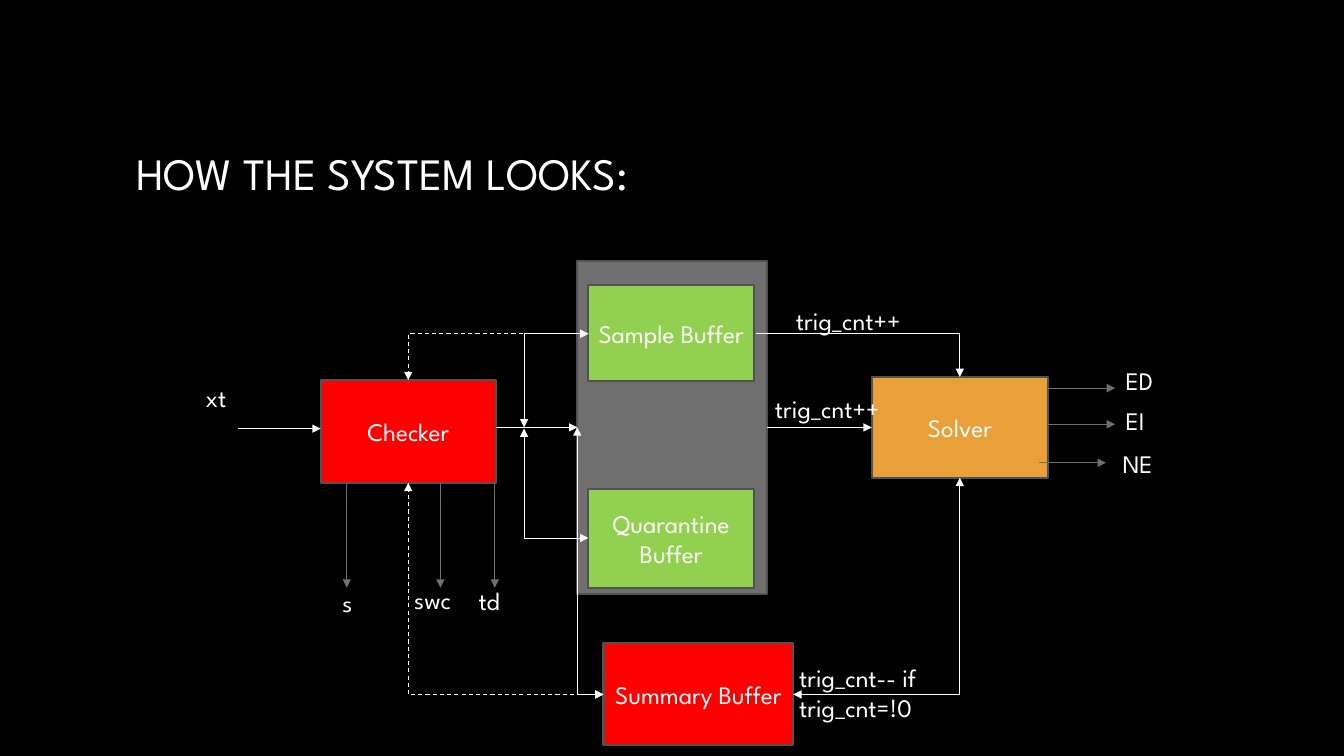
"""Build the slide that shows how the checker, buffers and solver connect."""
from dataclasses import dataclass

from lxml import etree
from pptx import Presentation
from pptx.dml.color import RGBColor
from pptx.enum.dml import MSO_LINE
from pptx.enum.shapes import MSO_CONNECTOR, MSO_SHAPE
from pptx.enum.text import MSO_ANCHOR, MSO_AUTO_SIZE, PP_ALIGN
from pptx.oxml.ns import qn
from pptx.shapes.autoshape import Shape
from pptx.shapes.connector import Connector
from pptx.slide import Slide
from pptx.util import Cm, Pt

RECTANGLE = MSO_SHAPE.RECTANGLE
STRAIGHT, ELBOW = MSO_CONNECTOR.STRAIGHT, MSO_CONNECTOR.ELBOW
DASH = MSO_LINE.DASH
MIDDLE, TOP = MSO_ANCHOR.MIDDLE, MSO_ANCHOR.TOP
CENTER, LEFT = PP_ALIGN.CENTER, PP_ALIGN.LEFT
GROW, FIXED = MSO_AUTO_SIZE.SHAPE_TO_FIT_TEXT, MSO_AUTO_SIZE.NONE
LEFT_SIDE, RIGHT_SIDE = 1, 3

FONT = "League Spartan"
COLORS = {
    "background": "000000",
    "text": "FFFFFF",
    "flow": "FFFFFF",
    "output": "6F6F6F",
    "border": "525252",
    "red": "FF0000",
    "gray": "6F6F6F",
    "green": "92D050",
    "orange": "E9A039",
}


@dataclass
class Block:
    text: str
    left: float
    top: float
    width: float
    height: float
    color: str


@dataclass
class Label:
    text: str
    left: float
    top: float
    width: float
    height: float = 1.02
    size: int = 18
    anchor: MSO_ANCHOR = TOP
    sizing: MSO_AUTO_SIZE = GROW


@dataclass
class Arrow:
    x1: float
    y1: float
    x2: float
    y2: float
    color: str = "flow"
    bent: bool = False
    double: bool = False
    dashed: bool = False


BUFFERS = Block("", 14.55, 6.58, 4.78, 8.38, "gray")
SOLVER = Block("Solver", 21.97, 9.5, 4.45, 2.54, "orange")
CHECKER = Block("Checker", 8.08, 9.58, 4.42, 2.59, "red")
BLOCKS = [
    CHECKER,
    BUFFERS,
    Block("Sample Buffer", 14.83, 7.19, 4.17, 2.41, "green"),
    Block("Quarantine Buffer", 14.83, 12.32, 4.17, 2.49, "green"),
    Block("Summary Buffer", 15.21, 16.21, 4.78, 2.57, "red"),
    SOLVER,
]
FLOW_Y = 10.77
CHECKER_TO_BUFFERS = Arrow(12.5, FLOW_Y, 14.55, FLOW_Y)
BUFFERS_TO_SOLVER = Arrow(19.33, FLOW_Y, 21.97, FLOW_Y)
BENT_FLOWS = [
    Arrow(15.21, 17.5, 14.55, FLOW_Y, bent=True, double=True),
    Arrow(19.99, 17.5, 24.19, 12.04, bent=True, double=True),
    Arrow(19.05, 8.41, 24.19, 9.5, bent=True),
    Arrow(15.21, 17.5, 10.29, 12.17, bent=True, double=True, dashed=True),
    Arrow(14.83, 8.41, 10.29, 9.58, bent=True, double=True, dashed=True),
    Arrow(14.83, 8.41, 13.21, FLOW_Y, bent=True, double=True),
    Arrow(14.83, 13.56, 13.21, 10.8, bent=True, double=True),
]
INPUT = Arrow(5.99, 10.8, 8.08, 10.8)
CHECKER_OUTPUTS = [Arrow(x, 12.17, x, 14.81, "output") for x in (8.74, 11.1, 12.47)]
SOLVER_OUTPUTS = [
    Arrow(x, y, x + 1.68, y, "output")
    for x, y in ((26.42, 9.78), (26.42, 10.69), (26.19, 11.66))
]
LABELS = [
    Label("HOW THE SYSTEM LOOKS:", 3.18, 1.7, 27.51, 5.28, 32, MIDDLE, FIXED),
    Label("trig_cnt++", 19.81, 7.57, 3.61),
    Label("trig_cnt++", 19.28, 9.78, 3.61),
    Label("trig_cnt-- if trig_cnt=!0", 19.89, 16.56, 5.38, 1.8),
    Label("xt", 4.93, 9.5, 2.03),
    Label("s", 8.38, 14.68, 0.53),
    Label("swc", 10.19, 14.6, 1.73),
    Label("td", 11.81, 14.63, 1.4),
    Label("ED", 28.12, 9.09, 1.55),
    Label("EI", 28.12, 10.08, 1.55),
    Label("NE", 28.04, 11.18, 1.55),
]


def rgb(name: str) -> RGBColor:
    return RGBColor.from_string(COLORS[name])


def write(shape: Shape, text: str, size: int, align: PP_ALIGN, anchor: MSO_ANCHOR) -> None:
    frame = shape.text_frame
    frame.word_wrap = True
    frame.vertical_anchor = anchor
    frame.text = text
    paragraph = frame.paragraphs[0]
    paragraph.alignment = align
    for run in paragraph.runs:
        run.font.name = FONT
        run.font.size = Pt(size)
        run.font.color.rgb = rgb("text")


def draw_block(slide: Slide, block: Block) -> Shape:
    shape = slide.shapes.add_shape(
        RECTANGLE, Cm(block.left), Cm(block.top), Cm(block.width), Cm(block.height)
    )
    shape.shadow.inherit = False
    shape.fill.solid()
    shape.fill.fore_color.rgb = rgb(block.color)
    shape.line.color.rgb = rgb("border")
    shape.line.width = Pt(1.5)
    write(shape, block.text, 18, CENTER, MIDDLE)
    return shape


def draw_label(slide: Slide, label: Label) -> None:
    box = slide.shapes.add_textbox(
        Cm(label.left), Cm(label.top), Cm(label.width), Cm(label.height)
    )
    write(box, label.text, label.size, LEFT, label.anchor)
    box.text_frame.auto_size = label.sizing


def draw_arrow(slide: Slide, arrow: Arrow) -> Connector:
    connector = slide.shapes.add_connector(
        ELBOW if arrow.bent else STRAIGHT,
        Cm(arrow.x1), Cm(arrow.y1), Cm(arrow.x2), Cm(arrow.y2),
    )
    connector.line.color.rgb = rgb(arrow.color)
    connector.line.width = Pt(0.75)
    if arrow.dashed:
        connector.line.dash_style = DASH
    properties = connector._element.spPr
    if arrow.bent:
        properties.find(qn("a:prstGeom")).set("prst", "bentConnector2")
    outline = properties.find(qn("a:ln"))
    for end in ("a:headEnd", "a:tailEnd") if arrow.double else ("a:tailEnd",):
        etree.SubElement(outline, qn(end), type="triangle")
    etree.SubElement(properties, qn("a:effectLst"))
    return connector


def main() -> None:
    deck = Presentation()
    deck.slide_width, deck.slide_height = Cm(33.87), Cm(19.05)
    slide = deck.slides.add_slide(deck.slide_layouts[6])
    slide.background.fill.solid()
    slide.background.fill.fore_color.rgb = rgb("background")

    drawn = {block.text: draw_block(slide, block) for block in BLOCKS}
    buffers, solver = drawn[BUFFERS.text], drawn[SOLVER.text]

    draw_arrow(slide, CHECKER_TO_BUFFERS).end_connect(buffers, LEFT_SIDE)
    to_solver = draw_arrow(slide, BUFFERS_TO_SOLVER)
    to_solver.begin_connect(buffers, RIGHT_SIDE)
    to_solver.end_connect(solver, LEFT_SIDE)
    for arrow in [*BENT_FLOWS, INPUT, *CHECKER_OUTPUTS, *SOLVER_OUTPUTS]:
        draw_arrow(slide, arrow)
    for label in LABELS:
        draw_label(slide, label)
    deck.save("out.pptx")


if __name__ == "__main__":
    main()
